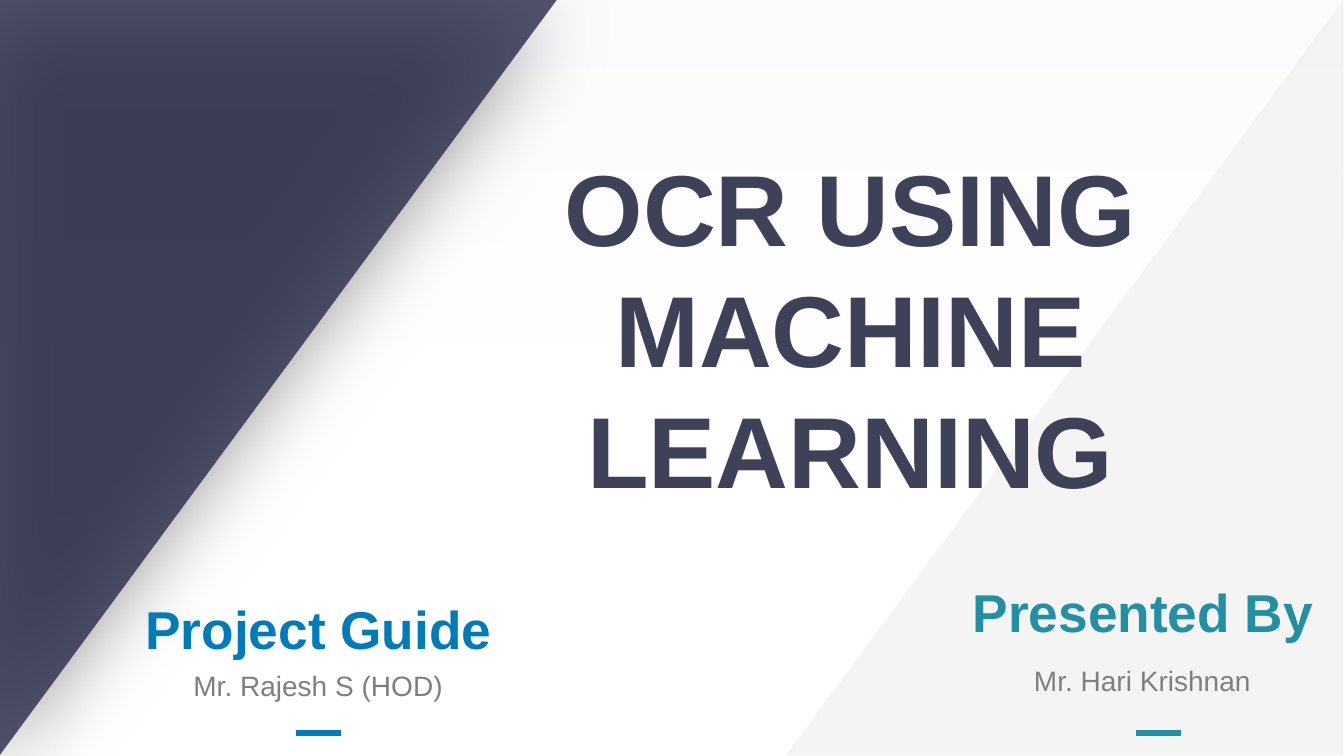
from dataclasses import dataclass
from lxml.etree import SubElement as Sub
from pptx import Presentation
from pptx.dml.color import RGBColor as Rgb
from pptx.enum.shapes import MSO_CONNECTOR as Link, MSO_SHAPE as Kind
from pptx.enum.text import MSO_ANCHOR as Anchor, MSO_AUTO_SIZE as Fit, PP_ALIGN as Align
from pptx.oxml.ns import qn
from pptx.util import Inches, Pt


@dataclass(frozen=True)
class Theme:
    """Colours, font and type sizes of the slide."""
    font: str = "Arial"
    white: str = "FFFFFF"
    haze: str = "E9EAF2"
    navy: str = "2C2F4B"
    pale: str = "F2F2F2"
    black: str = "000000"
    ink: str = "3E4157"
    grey: str = "7F7F7F"
    blue: str = "007BB9"
    teal: str = "228FA2"
    title: int = 72
    head: int = 38
    name: int = 20
    rule: int = 4


THEME = Theme()


def rgb(code):
    """Turn a hex code into a colour."""
    return Rgb.from_string(code)


def place(item, box):
    """Set left, top, width and height in inches."""
    item.left, item.top, item.width, item.height = map(Inches, box)


def paint_back(slide):
    """Fade the background from white to haze at the top."""
    fill = slide.background.fill
    fill.gradient()
    fill.gradient_angle = 90
    for stop, code, pos in zip(fill.gradient_stops, (THEME.white, THEME.haze), (0.5, 1)):
        stop.color.rgb = rgb(code)
        stop.position = pos


def add_panel(slide, kind, box, code, alpha, turn=0):
    """Add a see-through shape without outline."""
    panel = slide.shapes.add_shape(kind, *map(Inches, box))
    panel.rotation = turn
    panel.shadow.inherit = False
    panel.line.fill.background()
    panel.fill.solid()
    panel.fill.fore_color.rgb = rgb(code)
    tint = panel.element.spPr.find(".//" + qn("a:srgbClr"))
    Sub(tint, qn("a:alpha"), val=str(alpha * 1000))
    return panel


def cast_shade(panel, blur, dist, angle, alpha):
    """Give a panel a soft outer shadow."""
    effect = panel.element.spPr.find(qn("a:effectLst"))
    shade = Sub(effect, qn("a:outerShdw"), blurRad=str(Pt(blur)), dist=str(Pt(dist)),
                dir=str(angle * 60000), algn="ctr", rotWithShape="0")
    tint = Sub(shade, qn("a:srgbClr"), val=THEME.black)
    Sub(tint, qn("a:alpha"), val=str(alpha * 1000))


def set_text(item, text, size, code, bold=False, wrap=True, space=None):
    """Write one centred line of text and format it."""
    frame = item.text_frame
    frame.text = text
    frame.word_wrap = wrap
    frame.auto_size = Fit.NONE
    frame.vertical_anchor = Anchor.TOP
    para = frame.paragraphs[0]
    para.alignment = Align.CENTER
    para.line_spacing = space
    font = para.runs[0].font
    font.name, font.size, font.bold = THEME.font, Pt(size), bold
    font.color.rgb = rgb(code)


def add_label(slide, box, *args, **style):
    """Add a text box with formatted text."""
    set_text(slide.shapes.add_textbox(*map(Inches, box)), *args, **style)


def add_rule(slide, left, code):
    """Add a short accent line at the foot."""
    ends = map(Inches, (left, 7.27, left + 0.44, 7.27))
    rule = slide.shapes.add_connector(Link.STRAIGHT, *ends)
    rule.line.color.rgb = rgb(code)
    rule.line.width = Pt(THEME.rule)
    Sub(rule.element.spPr, qn("a:effectLst"))


def add_credit(slide, role, role_box, name, name_box, left, code):
    """Add a role, the person's name and an accent line."""
    add_label(slide, role_box, role, THEME.head, code, bold=True, wrap=False)
    add_label(slide, name_box, name, THEME.name, THEME.grey, wrap=False, space=1.2)
    add_rule(slide, left, code)


def add_title(slide, text, box):
    """Move the title placeholder above the panels and fill it."""
    title = slide.shapes.title
    slide.shapes.element.append(title.element)
    place(title, box)
    set_text(title, text, THEME.title, THEME.ink, bold=True)


def main():
    """Build the opening slide and save it."""
    deck = Presentation()
    deck.slide_width, deck.slide_height = Inches(13.33), Inches(7.5)
    slide = deck.slides.add_slide(deck.slide_layouts[5])
    paint_back(slide)
    add_panel(slide, Kind.RECTANGLE, (0, 0, 13.33, 7.5), THEME.white, 84)
    wedge = add_panel(slide, Kind.RIGHT_TRIANGLE, (-0.99, 0.98, 7.5, 5.53),
                      THEME.navy, 82, turn=90)
    cast_shade(wedge, blur=70, dist=20, angle=140, alpha=58)
    add_panel(slide, Kind.RIGHT_TRIANGLE, (6.81, 0.98, 7.5, 5.53),
              THEME.pale, 80, turn=270)
    add_title(slide, "OCR USING MACHINE LEARNING", (4.51, 1.4, 7.85, 3.74))
    add_credit(slide, "Project Guide", (1.33, 5.87, 3.66, 0.74),
               "Mr. Rajesh S (HOD)", (1.81, 6.52, 2.69, 0.5), 2.94, THEME.blue)
    add_credit(slide, "Presented By", (9.53, 5.7, 3.61, 0.74),
               "Mr. Hari Krishnan", (10.08, 6.47, 2.5, 0.47), 11.27, THEME.teal)
    deck.save("out.pptx")


main()
